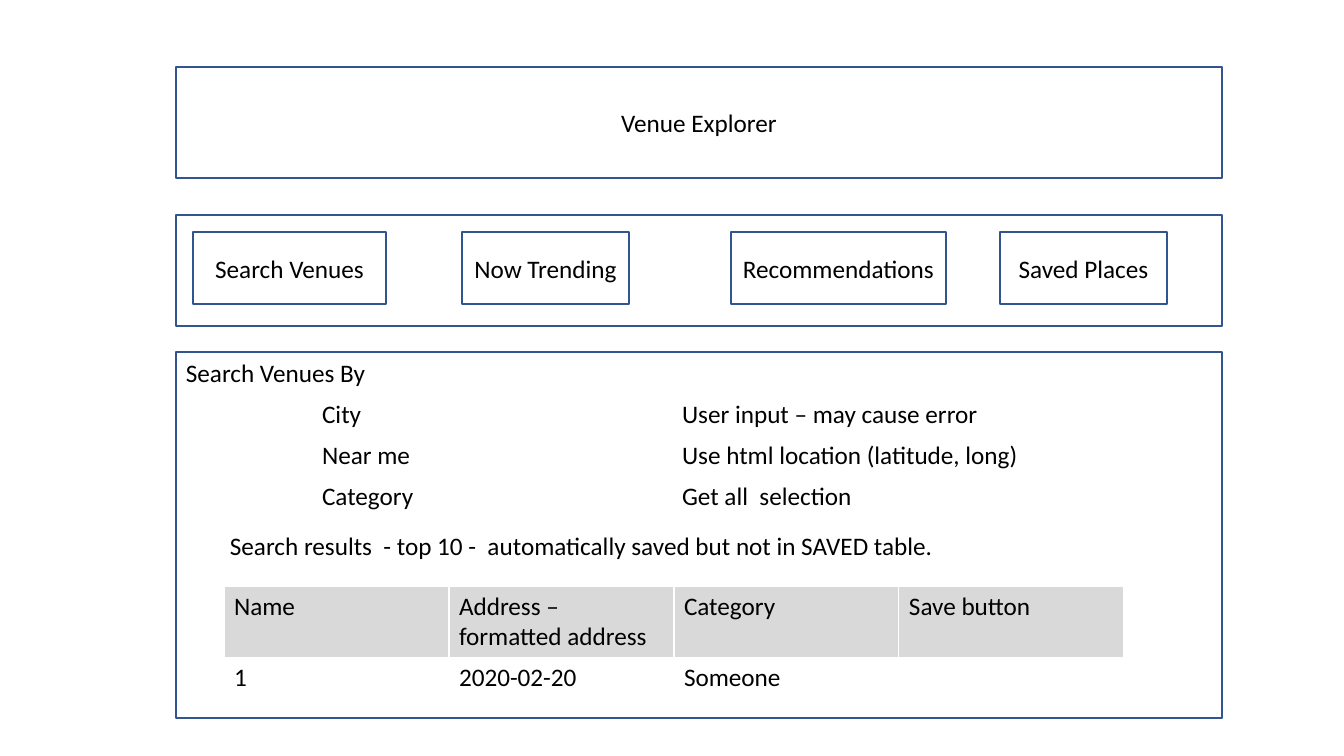
from pptx import Presentation
from pptx.dml.color import RGBColor
from pptx.enum.shapes import MSO_SHAPE as SHAPE
from pptx.enum.text import MSO_ANCHOR as ANCHOR, MSO_AUTO_SIZE as AUTO_SIZE, PP_ALIGN as ALIGN
from pptx.util import Emu, Pt

SCALE = 914400 / 100.8
BLACK = RGBColor(0x00, 0x00, 0x00)
BLUE = RGBColor(0x32, 0x54, 0x91)
GREY = RGBColor(0xD9, 0xD9, 0xD9)

PANEL_LEFT, PANEL_WIDTH = 176, 1046
MENU_LEFT, MENU_PITCH = 193, 269
ROW_HEIGHT = 41
MENU = [("Search Venues", 193), ("Now Trending", 167),
        ("Recommendations", 215), ("Saved Places", 167)]
RESULTS = [["Name", "Address – formatted address", "Category", "Save button"],
           ["1", "2020-02-20", "Someone", ""]]
CRITERIA = [["City", "User input – may cause error"],
            ["Near me", "Use html location (latitude, long)"],
            ["Category", "Get all  selection"]]


def px(*lengths):
    """Turn pixel lengths into a list of EMU lengths."""
    return [Emu(round(length * SCALE)) for length in lengths]


def write(frame, text, align=ALIGN.LEFT):
    """Set text in the one style of this slide."""
    frame.text = text
    for para in frame.paragraphs:
        para.alignment = align
        for span in para.runs:
            font = span.font
            font.name, font.size, font.bold = "Calibri", Pt(18), False
            font.color.rgb = BLACK


def outline(box):
    """Give a box a thin blue line and no fill."""
    box.fill.background()
    box.line.color.rgb = BLUE
    box.line.width = Pt(1)


def add_title(slide, text, left, top, width, height):
    """Place the title placeholder as an outlined banner."""
    title = slide.shapes.title
    title.left, title.top, title.width, title.height = px(left, top, width, height)
    outline(title)
    title.text_frame.auto_size = AUTO_SIZE.NONE
    title.text_frame.vertical_anchor = ANCHOR.MIDDLE
    write(title.text_frame, text, ALIGN.CENTER)


def add_box(slide, left, top, width, height, text="", align=ALIGN.CENTER, anchor=ANCHOR.MIDDLE):
    """Add an outlined rectangle with optional text."""
    box = slide.shapes.add_shape(SHAPE.RECTANGLE, *px(left, top, width, height))
    box.shadow.inherit = False
    outline(box)
    box.text_frame.word_wrap = True
    box.text_frame.vertical_anchor = anchor
    write(box.text_frame, text, align)


def add_grid(slide, rows, left, top, width, header_fill=None):
    """Add a table of equal columns with an optional header fill."""
    frame = slide.shapes.add_table(len(rows), len(rows[0]),
                                   *px(left, top, width, ROW_HEIGHT * len(rows)))
    for r, row in enumerate(rows):
        for c, text in enumerate(row):
            cell = frame.table.cell(r, c)
            if r == 0 and header_fill is not None:
                cell.fill.solid()
                cell.fill.fore_color.rgb = header_fill
            else:
                cell.fill.background()
            write(cell.text_frame, text)


def add_label(slide, text, left, top, width, height):
    """Add a single unwrapped line of text."""
    label = slide.shapes.add_textbox(*px(left, top, width, height))
    label.text_frame.word_wrap = False
    label.text_frame.auto_size = AUTO_SIZE.SHAPE_TO_FIT_TEXT
    write(label.text_frame, text)


def main():
    """Build the venue explorer wireframe."""
    deck = Presentation()
    deck.slide_width, deck.slide_height = px(1344, 756)
    slide = deck.slides.add_slide(deck.slide_layouts[5])

    add_title(slide, "Venue Explorer", PANEL_LEFT, 67, PANEL_WIDTH, 111)
    add_box(slide, PANEL_LEFT, 215, PANEL_WIDTH, 111)
    for i, (name, width) in enumerate(MENU):
        add_box(slide, MENU_LEFT + i * MENU_PITCH, 232, width, 72, name)

    add_box(slide, PANEL_LEFT, 352, PANEL_WIDTH, 366, "Search Venues By",
            ALIGN.LEFT, ANCHOR.TOP)
    add_grid(slide, RESULTS, 224, 586, 900, GREY)
    add_grid(slide, CRITERIA, 312, 394, 720)
    add_label(slide, "Search results  - top 10 -  automatically saved but not in SAVED table.",
              220, 525, 726, 40)
    deck.save("out.pptx")


main()
